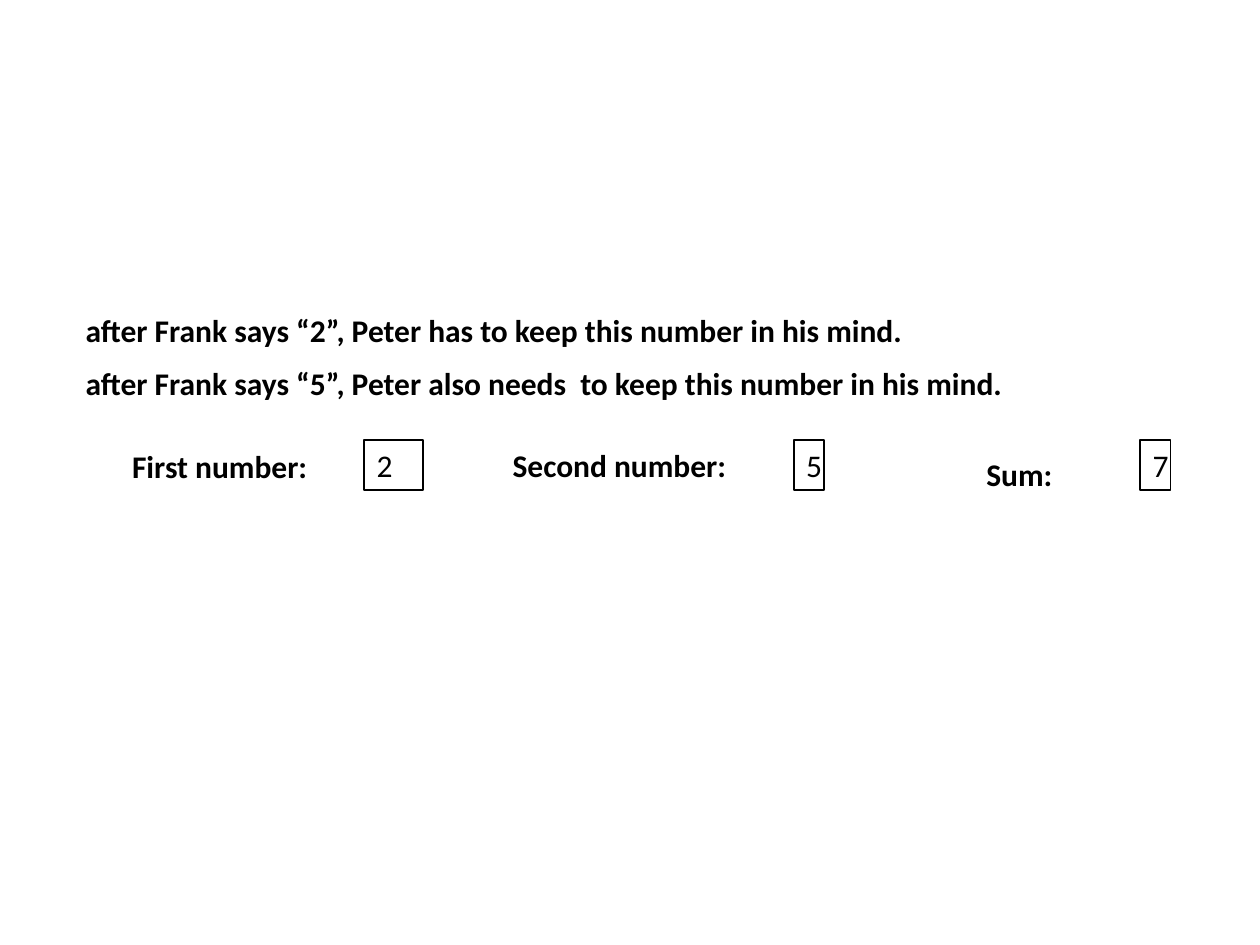
from pptx import Presentation
from pptx import util as u
from pptx.dml.color import RGBColor
from pptx.enum import shapes, text

BLACK = "000000"
ROW_TOP = 3.49
HEIGHT = 0.4


def color(value):
    """Turn a hex string into a colour."""
    return RGBColor.from_string(value)


def write(shape, wording, bold=False, indent=0):
    """Put one left-aligned run of text into a shape."""
    frame = shape.text_frame
    frame.word_wrap = True
    frame.vertical_anchor = text.MSO_ANCHOR.TOP
    frame.margin_left = u.Inches(0.1 + indent)
    frame.margin_right = u.Inches(0.1)
    frame.margin_top = frame.margin_bottom = u.Inches(0.05)
    paragraph = frame.paragraphs[0]
    paragraph.alignment = text.PP_ALIGN.LEFT
    run = paragraph.add_run()
    run.text = wording
    run.font.name = "Calibri"
    run.font.size = u.Pt(18)
    run.font.bold = bold
    run.font.color.rgb = color(BLACK)


def add_label(slide, wording, left, top, width, indent=0):
    """Add a bold line of text."""
    box = slide.shapes.add_textbox(
        u.Inches(left), u.Inches(top), u.Inches(width), u.Inches(HEIGHT))
    write(box, wording, bold=True, indent=indent)


def add_number_box(slide, number, left, width):
    """Add an outlined box that holds a number."""
    box = slide.shapes.add_shape(
        shapes.MSO_SHAPE.RECTANGLE,
        u.Inches(left), u.Inches(ROW_TOP), u.Inches(width), u.Inches(HEIGHT))
    box.shadow.inherit = False
    box.fill.background()
    box.line.color.rgb = color(BLACK)
    box.line.width = u.Pt(1)
    write(box, number)


def main():
    """Build the slide and save it."""
    presentation = Presentation()
    presentation.slide_width = u.Inches(10)
    presentation.slide_height = u.Inches(7.5)
    slide = presentation.slides.add_slide(presentation.slide_layouts[6])

    sentences = [
        ("after Frank says “2”, Peter has to keep this number in his mind.", 2.42, 7.73),
        ("after Frank says “5”, Peter also needs  to keep this number in his mind.", 2.84, 7.97),
    ]
    for wording, top, width in sentences:
        add_label(slide, wording, 0.47, top, width, indent=0.11)

    for number, left, width in [("2", 2.89, 0.47), ("5", 6.3, 0.24), ("7", 9.05, 0.24)]:
        add_number_box(slide, number, left, width)

    labels = [
        ("First number:", 0.95, 3.5, 1.7),
        ("Second number:", 3.97, ROW_TOP, 1.97),
        ("Sum:", 7.73, 3.56, 0.93),
    ]
    for label in labels:
        add_label(slide, *label)

    presentation.save("out.pptx")


if __name__ == "__main__":
    main()
